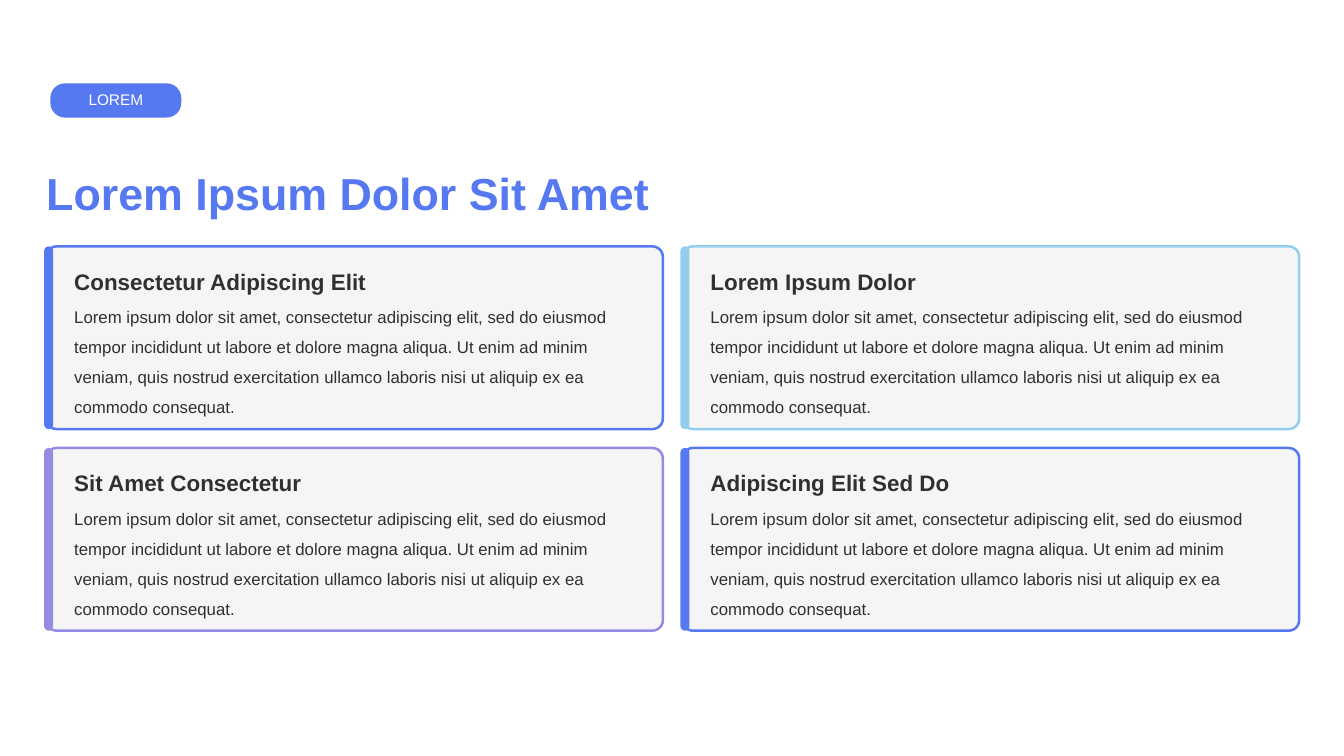
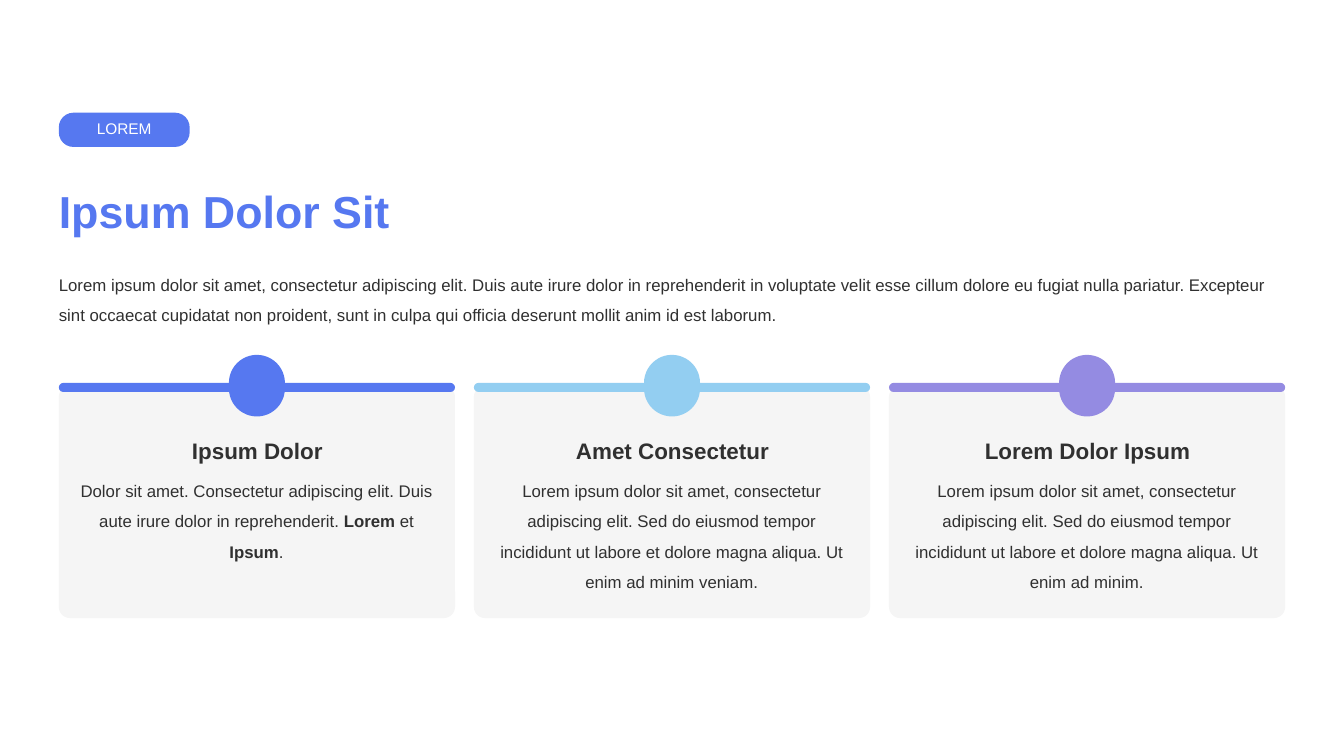
from pptx import Presentation
from pptx.dml.color import RGBColor
from pptx.enum.shapes import MSO_SHAPE
from pptx.enum.text import MSO_ANCHOR, MSO_AUTO_SIZE, PP_ALIGN
from pptx.util import Emu, Pt

ROUNDED = MSO_SHAPE.ROUNDED_RECTANGLE
MIDDLE = MSO_ANCHOR.MIDDLE
GROW = MSO_AUTO_SIZE.SHAPE_TO_FIT_TEXT
LEFT, CENTER = PP_ALIGN.LEFT, PP_ALIGN.CENTER

BLUE = RGBColor(0x56, 0x78, 0xF0)
SKY = RGBColor(0x93, 0xCE, 0xF1)
VIOLET = RGBColor(0x94, 0x8B, 0xE2)
PANEL = RGBColor(0xF5, 0xF5, 0xF5)
INK = RGBColor(0x30, 0x30, 0x30)
WHITE = RGBColor(0xFF, 0xFF, 0xFF)

PX = 9525
FONT = "Arial"
TITLE = (48, 69.75, BLUE, True)
HEADING = (24, 34.5, INK, True)
BODY = (18, 32.25, INK, False)
TAG = (16.5, 19.8, WHITE, False)


def add_box(s, x, y, w, h, radius, fill, line=None):
    sp = s.shapes.add_shape(ROUNDED, x * PX, y * PX, w * PX, h * PX)
    sp.adjustments[0] = min(0.5, radius / min(w, h))
    sp.shadow.inherit = False
    sp.fill.solid()
    sp.fill.fore_color.rgb = fill
    if line:
        sp.line.color.rgb = line
        sp.line.width = Pt(2.7)
    else:
        sp.line.fill.background()
    return sp


def add_text(s, x, y, w, h, runs, style, align=LEFT, sp=None):
    size, spacing, color, bold = style
    inset = 6 if sp else 0
    if sp is None:
        sp = s.shapes.add_textbox(x * PX, y * PX, w * PX, h * PX)
        sp.text_frame.auto_size = GROW
    tf = sp.text_frame
    tf.word_wrap = True
    tf.margin_left = tf.margin_right = tf.margin_top = Emu(inset * PX)
    tf.margin_bottom = Emu(inset * PX * 3 // 2)
    p = tf.paragraphs[0]
    p.alignment = align
    p.line_spacing = Pt(spacing)
    for text, strong in runs:
        r = p.add_run()
        r.text = text
        r.font.name = FONT
        r.font.size = Pt(size)
        r.font.bold = bold or strong
        r.font.color.rgb = color


prs = Presentation()
prs.slide_width, prs.slide_height = 1920 * PX, 1080 * PX
blank = prs.slide_layouts[6]
grid_slide = prs.slides.add_slide(blank)
column_slide = prs.slides.add_slide(blank)

for s, title, title_box, tag_x, tag_y in [
    (grid_slide, "Lorem Ipsum Dolor Sit Amet", (66, 220, 922, 93), 72, 119),
    (column_slide, "Ipsum Dolor Sit", (84, 246, 666, 102), 84, 161),
]:
    add_text(s, *title_box, [(title, False)], TITLE)
    tag_box = (tag_x, tag_y, 187, 49)
    tag = add_box(s, *tag_box, 21, BLUE)
    tag.text_frame.vertical_anchor = MIDDLE
    add_text(s, *tag_box, [("LOREM", False)], TAG, CENTER, tag)

s = grid_slide
lorem = (
    "Lorem ipsum dolor sit amet, consectetur adipiscing elit, sed do eiusmod "
    "tempor incididunt ut labore et dolore magna aliqua. Ut enim ad minim "
    "veniam, quis nostrud exercitation ullamco laboris nisi ut aliquip ex ea "
    "commodo consequat."
)
cards = [
    ("Consectetur Adipiscing Elit", 445, BLUE),
    ("Lorem Ipsum Dolor", 341, SKY),
    ("Sit Amet Consectetur", 354, VIOLET),
    ("Adipiscing Elit Sed Do", 358, BLUE),
]
for i, (heading, heading_w, accent) in enumerate(cards):
    x, y = 66 + i % 2 * 909, 352 + i // 2 * 288
    add_box(s, x, y, 881, 261, 15, PANEL, accent)
    add_box(s, x - 3, y, 13, 261, 7, accent)
    add_text(s, x + 40, y + 23, heading_w, 46, [(heading, False)], HEADING)
    add_text(s, x + 40, y + 72, 811, 171, [(lorem, False)], BODY)

s = column_slide
intro = (
    "Lorem ipsum dolor sit amet, consectetur adipiscing elit. Duis aute irure "
    "dolor in reprehenderit in voluptate velit esse cillum dolore eu fugiat "
    "nulla pariatur. Excepteur sint occaecat cupidatat non proident, sunt in "
    "culpa qui officia deserunt mollit anim id est laborum."
)
add_text(s, 84, 378, 1752, 84, [(intro, False)], BODY)

sed_do = (
    "Lorem ipsum dolor sit amet, consectetur adipiscing elit. Sed do eiusmod "
    "tempor incididunt ut labore et dolore magna aliqua. Ut enim ad minim"
)
columns = [
    ("Ipsum Dolor", BLUE, 128, [
        ("Dolor sit amet. Consectetur adipiscing elit. Duis aute irure dolor "
         "in reprehenderit. ", False),
        ("Lorem", True), (" et ", False), ("Ipsum", True), (".", False),
    ]),
    ("Amet Consectetur", SKY, 171, [(sed_do + " veniam.", False)]),
    ("Lorem Dolor Ipsum", VIOLET, 171, [(sed_do + ".", False)]),
]
for i, (heading, accent, body_h, runs) in enumerate(columns):
    x = 84 + i * 593
    add_box(s, x, 551, 566, 332, 16, PANEL)
    add_box(s, x, 547, 566, 13, 7, accent)
    add_box(s, x + 243, 507, 80, 88, 40, accent)
    add_text(s, x + 117, 617, 333, 51, [(heading, False)], HEADING, CENTER)
    add_text(s, x + 29, 673, 507, body_h, runs, BODY, CENTER)

prs.save("out.pptx")
